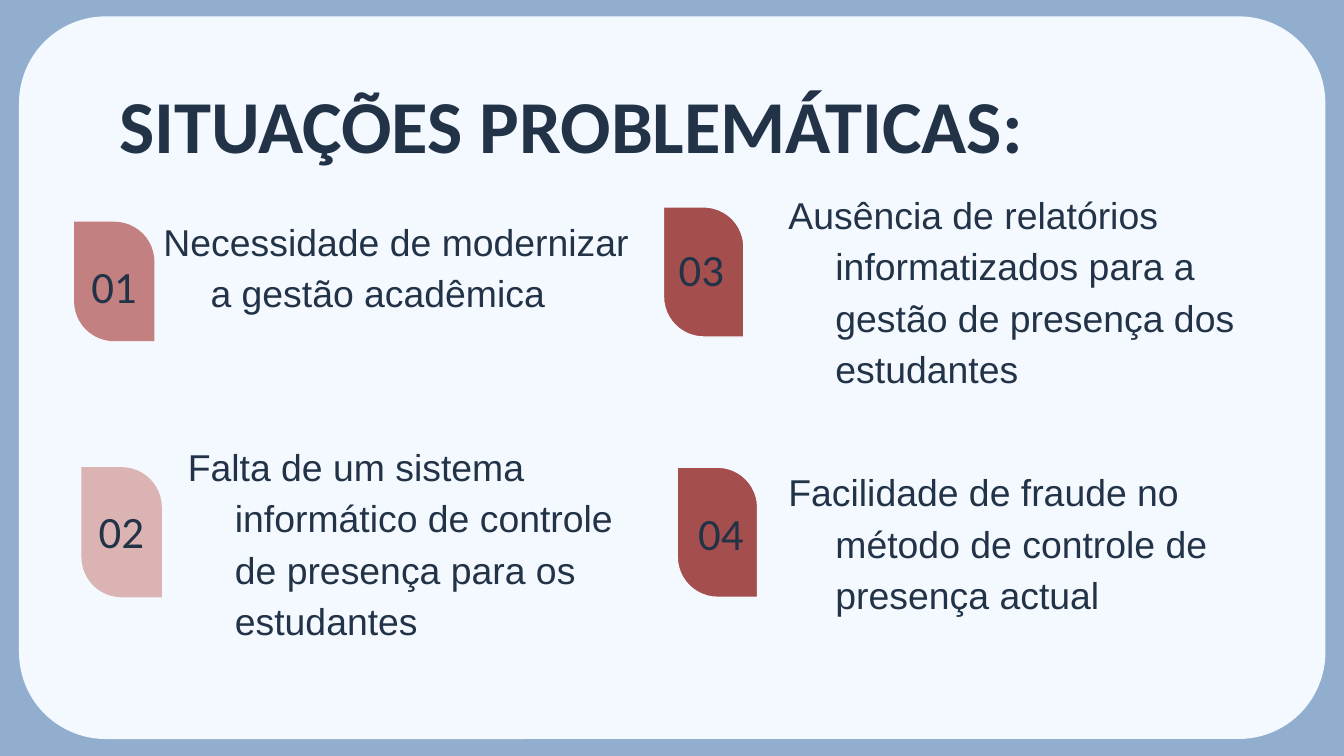
from typing import NamedTuple

from pptx import Presentation
from pptx.dml.color import RGBColor as Rgb
from pptx.enum.shapes import MSO_SHAPE as Kind
from pptx.enum.text import MSO_ANCHOR as Anchor, PP_ALIGN as Align
from pptx.shapes.autoshape import Shape
from pptx.slide import Slide
from pptx.util import Cm, Pt

HUES = {
    "back": "92AECE",
    "panel": "F4F9FF",
    "ink": "233347",
    "rose": "C38080",
    "blush": "DBB3B3",
    "brick": "A54E4E",
}
FRAME = {
    "word_wrap": True,
    "margin_left": Cm(0.25),
    "margin_right": Cm(0.25),
    "margin_top": Cm(0.25),
    "margin_bottom": Cm(0.25),
}
TITLE = {"name": "Calibri", "size": Pt(40), "bold": True}
NUMBER = {"name": "Calibri", "size": Pt(24), "bold": False}
BODY = {"name": "Arial", "size": Pt(20), "bold": False}
HANG = {"marL": Cm(1.27), "indent": Cm(-0.89)}


class Box(NamedTuple):
    left: float
    top: float
    width: float
    height: float


class Item(NamedTuple):
    text: str
    hue: str
    edge: bool
    tab: Box
    label: Box
    body: Box
    anchor: Anchor


ITEMS = [
    Item("Necessidade de modernizar a gestão acadêmica", "rose", False,
         Box(1.03, 4.56, 2.26, 1.52), Box(1.14, 4.78, 2.03, 1.24),
         Box(2.46, 4.28, 10.21, 1.93), Anchor.BOTTOM),
    Item("Falta de um sistema informático de controle de presença para os estudantes",
         "blush", False,
         Box(1.07, 9.3, 2.46, 1.52), Box(1.28, 9.41, 2.03, 1.24),
         Box(2.92, 9.25, 9.55, 1.93), Anchor.MIDDLE),
    Item("Ausência de relatórios informatizados para a gestão de presença dos estudantes",
         "brick", True,
         Box(12.07, 4.38, 2.46, 1.52), Box(12.24, 4.46, 2.03, 1.24),
         Box(14.27, 5.72, 10.54, 1.93), Anchor.BOTTOM),
    Item("Facilidade de fraude no método de controle de presença actual", "brick", True,
         Box(12.33, 9.3, 2.46, 1.52), Box(12.61, 9.45, 2.03, 1.24),
         Box(14.27, 9.99, 10.54, 1.93), Anchor.BOTTOM),
]


def tint(name: str) -> Rgb:
    """Return the named colour."""
    return Rgb.from_string(HUES[name])


def apply(target: object, style: dict) -> None:
    """Set every format value on the target."""
    for name, value in style.items():
        setattr(target, name, value)


def draw(slide: Slide, kind: Kind, box: Box, hue: str, bends: list[float]) -> Shape:
    """Add a flat filled shape without an outline."""
    shape = slide.shapes.add_shape(kind, *map(Cm, box))
    shape.shadow.inherit = False
    shape.fill.solid()
    shape.fill.fore_color.rgb = tint(hue)
    shape.line.fill.background()
    for i, bend in enumerate(bends):
        shape.adjustments[i] = bend
    return shape


def write(slide: Slide, box: Box, text: str, font: dict, anchor: Anchor,
          align: Align = Align.LEFT, hang: bool = False) -> None:
    """Add a text box with one paragraph."""
    frame = slide.shapes.add_textbox(*map(Cm, box)).text_frame
    apply(frame, FRAME | {"vertical_anchor": anchor})
    para = frame.paragraphs[0]
    para.alignment = align
    if hang:
        para.line_spacing = 1.15
        for name, value in HANG.items():
            para._p.get_or_add_pPr().set(name, str(int(value)))
    run = para.add_run()
    run.text = text
    apply(run.font, font)
    run.font.color.rgb = tint("ink")


def place(slide: Slide, num: int, item: Item) -> None:
    """Draw one numbered tab with its statement."""
    tab = draw(slide, Kind.ROUND_2_DIAG_RECTANGLE, item.tab, item.hue, [0.5, 0])
    tab.rotation = 270
    if item.edge:
        tab.line.color.rgb = tint("panel")
        tab.line.width = Pt(0.75)
    write(slide, item.label, f"{num:02}", NUMBER, Anchor.MIDDLE, Align.CENTER)
    write(slide, item.body, item.text, BODY, item.anchor, hang=True)


def main() -> None:
    """Build and save the slide."""
    deck = Presentation()
    apply(deck, {"slide_width": Cm(25.4), "slide_height": Cm(14.29)})
    slide = deck.slides.add_slide(deck.slide_layouts[6])
    slide.background.fill.solid()
    slide.background.fill.fore_color.rgb = tint("back")
    draw(slide, Kind.ROUNDED_RECTANGLE, Box(0.36, 0.31, 24.69, 13.66), "panel", [0.12])
    write(slide, Box(2.01, 1.24, 21.41, 1.6), "SITUAÇÕES PROBLEMÁTICAS:", TITLE, Anchor.TOP)
    for num, item in enumerate(ITEMS, 1):
        place(slide, num, item)
    deck.save("out.pptx")


if __name__ == "__main__":
    main()
